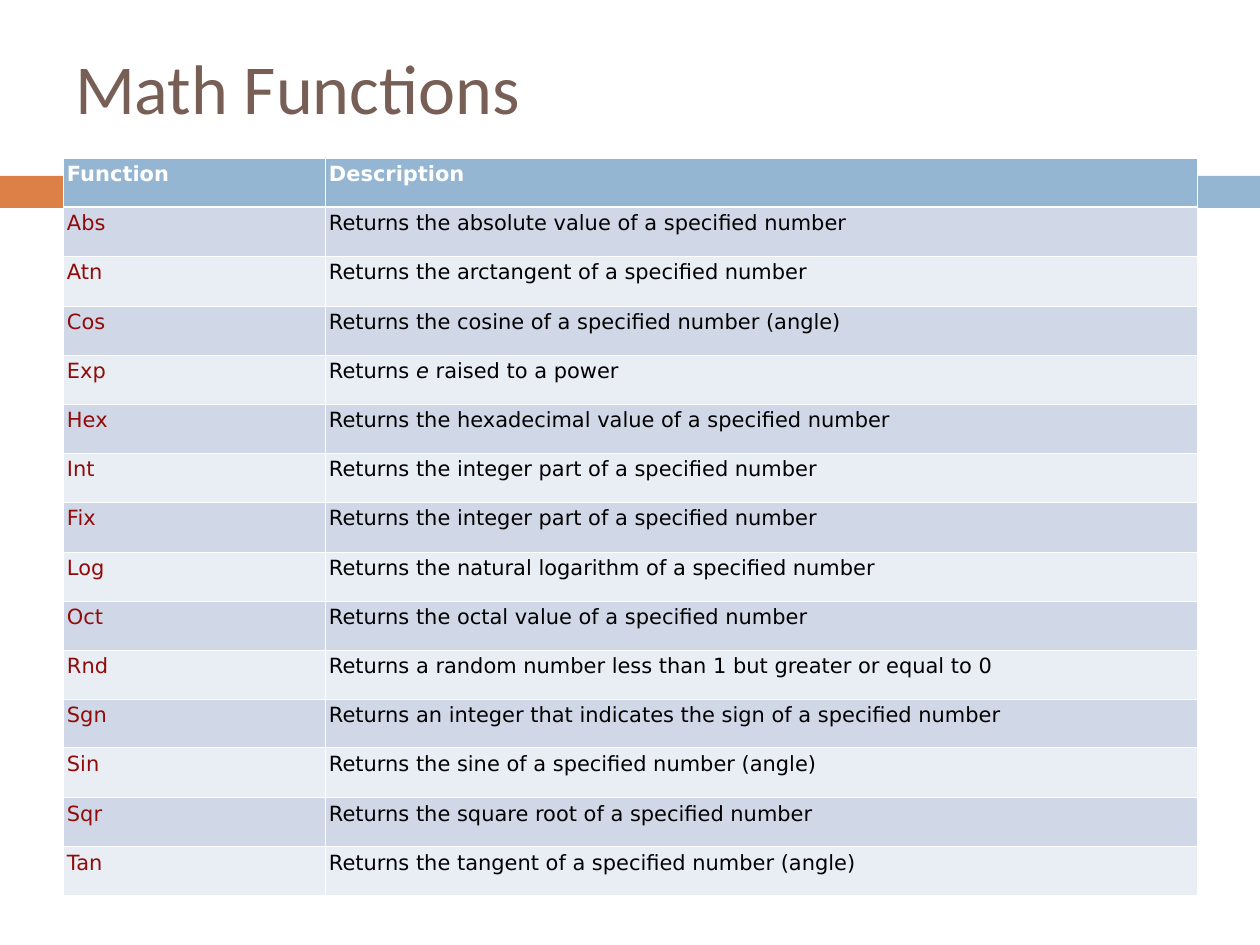
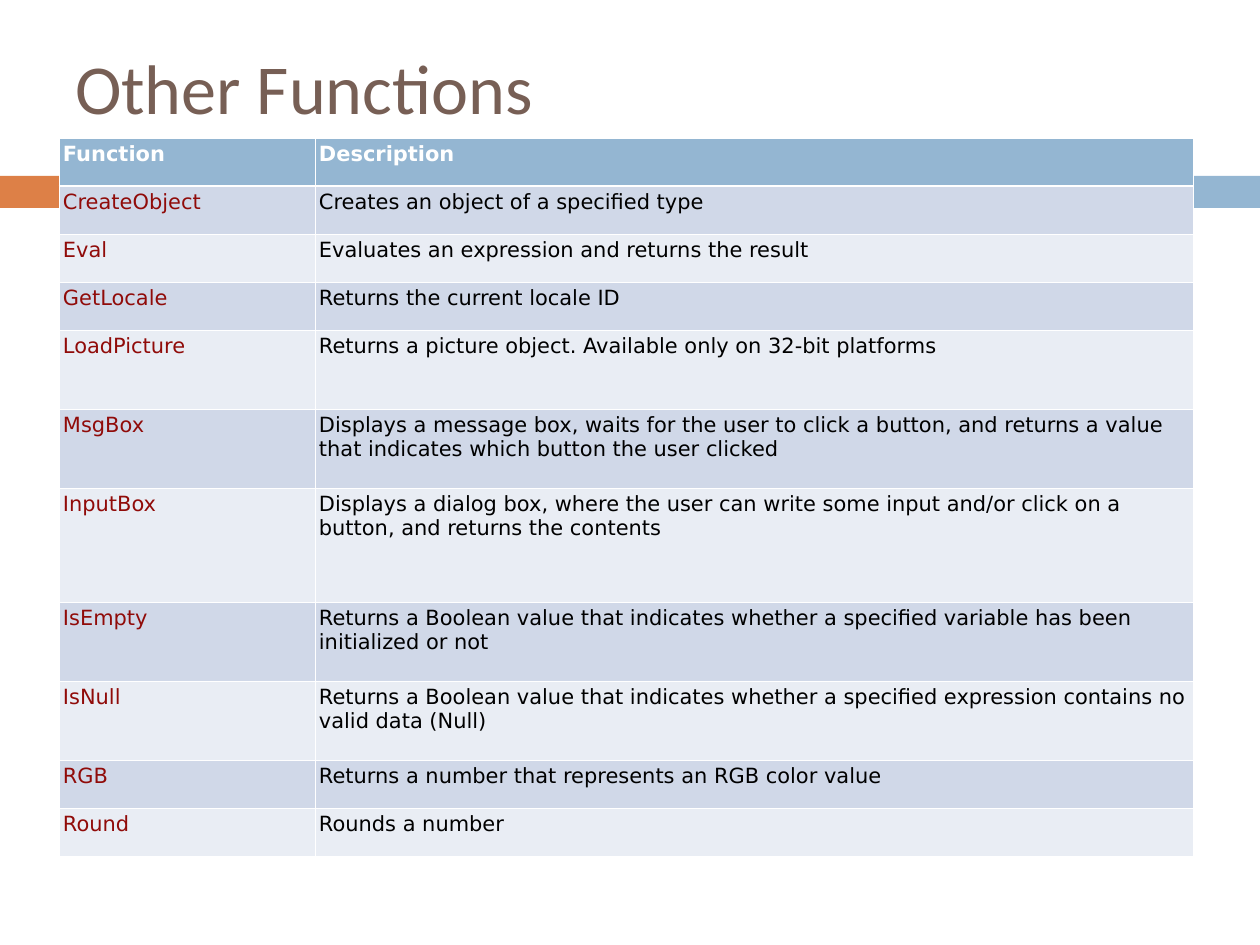
from itertools import pairwise

from lxml.etree import SubElement
from pptx import Presentation
from pptx.dml.color import RGBColor
from pptx.enum.shapes import MSO_SHAPE as Shape
from pptx.enum.text import MSO_ANCHOR as Anchor, MSO_AUTO_SIZE as AutoSize, PP_ALIGN as Align
from pptx.oxml.ns import qn
from pptx.util import Emu, Pt

EMU_PER_PX = 10320
PAGE_WIDTH, PAGE_HEIGHT = 1260, 945

# Shared look
WHITE, BLACK = "FFFFFF", "000000"
ORANGE, BLUE, BROWN, RED = "DD8047", "94B6D2", "775F55", "900B09"
ROW_FILLS = ("D0D8E8", "E9EDF4")
TITLE_FONT, TABLE_FONT = "Calibri", "DejaVu Sans"
TITLE_BOX = (63, 38, 1134, 90)
BANDS = (((0, 176, 74, 32), ORANGE), ((82, 176, 1178, 32), BLUE))
THIN, THICK = 0.45, 1.47
HEADER = ("Function", "Description")

MATH_FUNCTIONS = [
    ("Abs", "Returns the absolute value of a specified number"),
    ("Atn", "Returns the arctangent of a specified number"),
    ("Cos", "Returns the cosine of a specified number (angle)"),
    ("Exp", ("Returns ", "e", " raised to a power")),
    ("Hex", "Returns the hexadecimal value of a specified number"),
    ("Int", "Returns the integer part of a specified number"),
    ("Fix", "Returns the integer part of a specified number"),
    ("Log", "Returns the natural logarithm of a specified number"),
    ("Oct", "Returns the octal value of a specified number"),
    ("Rnd", "Returns a random number less than 1 but greater or equal to 0"),
    ("Sgn", "Returns an integer that indicates the sign of a specified number"),
    ("Sin", "Returns the sine of a specified number (angle)"),
    ("Sqr", "Returns the square root of a specified number"),
    ("Tan", "Returns the tangent of a specified number (angle)"),
]

OTHER_FUNCTIONS = [
    ("CreateObject", "Creates an object of a specified type"),
    ("Eval", "Evaluates an expression and returns the result"),
    ("GetLocale", "Returns the current locale ID"),
    ("LoadPicture", "Returns a picture object. Available only on 32-bit platforms"),
    ("MsgBox", "Displays a message box, waits for the user to click a button, and "
               "returns a value that indicates which button the user clicked"),
    ("InputBox", "Displays a dialog box, where the user can write some input and/or "
                 "click on a button, and returns the contents"),
    ("IsEmpty", "Returns a Boolean value that indicates whether a specified variable "
                "has been initialized or not"),
    ("IsNull", "Returns a Boolean value that indicates whether a specified expression "
               "contains no valid data (Null)"),
    ("RGB", "Returns a number that represents an RGB color value"),
    ("Round", "Rounds a number"),
]


def px(length):
    return Emu(length * EMU_PER_PX)


def color(hex_text):
    return RGBColor.from_string(hex_text)


def even_rows(total, count):
    """Split a height into whole-pixel rows of nearly equal height."""
    edges = [round(total * step / count) for step in range(count + 1)]
    return [bottom - top for top, bottom in pairwise(edges)]


def write(frame, text, *, size, font, fill, bold=False):
    """Write a string, or a tuple of spans in which every second one is italic."""
    para = frame.paragraphs[0]
    para.alignment = Align.LEFT
    spans = (text,) if isinstance(text, str) else text
    for index, part in enumerate(spans):
        span = para.add_run()
        span.text = part
        span.font.name, span.font.size = font, Pt(size)
        span.font.bold, span.font.italic = bold, index % 2 == 1
        span.font.color.rgb = color(fill)


def add_bands(deck, page):
    """Draw the two bands and move them to the master, behind every slide."""
    tree = deck.slide_master.shapes.element
    for number, (box, fill) in enumerate(BANDS):
        band = page.shapes.add_shape(Shape.RECTANGLE, *map(px, box))
        band.shadow.inherit = False
        band.fill.solid()
        band.fill.fore_color.rgb = color(fill)
        band.line.fill.background()
        band.name = f"Band {number + 1}"
        band.element.nvSpPr.cNvPr.set("id", str(100 + number))
        tree.append(band.element)


def add_title(page, text, box):
    title = page.shapes.title
    title.left, title.top, title.width, title.height = map(px, box)
    frame = title.text_frame
    frame.auto_size, frame.word_wrap = AutoSize.NONE, True
    frame.vertical_anchor = Anchor.MIDDLE
    frame.margin_left = frame.margin_right = px(12)
    frame.margin_top, frame.margin_bottom = px(12), px(6)
    write(frame, text, size=57, font=TITLE_FONT, fill=BROWN)


def set_borders(cell, **widths):
    """Give the cell white borders; widths are points by side: L, R, T, B."""
    properties = cell._tc.get_or_add_tcPr()
    for index, (side, width) in enumerate(widths.items()):
        line = SubElement(properties, qn(f"a:ln{side}"), w=str(Pt(width)))
        SubElement(SubElement(line, qn("a:solidFill")), qn("a:srgbClr"), val=WHITE)
        properties.insert(index, line)


def format_cell(cell, text, row, column):
    header = row == 0
    cell.fill.solid()
    cell.fill.fore_color.rgb = color(BLUE if header else ROW_FILLS[(row - 1) % 2])
    cell.margin_left = cell.margin_right = cell.margin_top = cell.margin_bottom = px(4)
    cell.vertical_anchor = Anchor.TOP
    set_borders(cell, L=THIN, R=THIN, T=THICK if row == 1 else THIN,
                B=THICK if header else THIN)
    fill = WHITE if header else (RED, BLACK)[column]
    write(cell.text_frame, text, size=17, font=TABLE_FONT, fill=fill, bold=header)


def add_function_table(page, functions, left, top, columns, heights):
    rows = [HEADER, *functions]
    table = page.shapes.add_table(len(rows), len(columns), px(left), px(top),
                                  px(sum(columns)), px(sum(heights))).table
    table.horz_banding = False
    for column, width in zip(table.columns, columns):
        column.width = px(width)
    for row, (texts, height) in enumerate(zip(rows, heights)):
        table.rows[row].height = px(height)
        for column, text in enumerate(texts):
            format_cell(table.cell(row, column), text, row, column)


def add_function_page(deck, title, functions, **table_layout):
    page = deck.slides.add_slide(deck.slide_layouts[5])
    add_title(page, title, TITLE_BOX)
    add_function_table(page, functions, **table_layout)
    return page


def main():
    deck = Presentation()
    deck.slide_width, deck.slide_height = px(PAGE_WIDTH), px(PAGE_HEIGHT)

    # Math functions: equal rows
    first_page = add_function_page(
        deck, "Math Functions", MATH_FUNCTIONS, left=63, top=158,
        columns=(262, 872), heights=even_rows(738, len(MATH_FUNCTIONS) + 1))
    add_bands(deck, first_page)

    # Other functions: taller rows for long descriptions
    short, tall, tallest = 48, 79, 114
    add_function_page(
        deck, "Other Functions", OTHER_FUNCTIONS, left=59, top=138, columns=(256, 878),
        heights=[short] * 4 + [tall] * 2 + [tallest] + [tall] * 2 + [short] * 2)

    deck.save("out.pptx")


if __name__ == "__main__":
    main()
